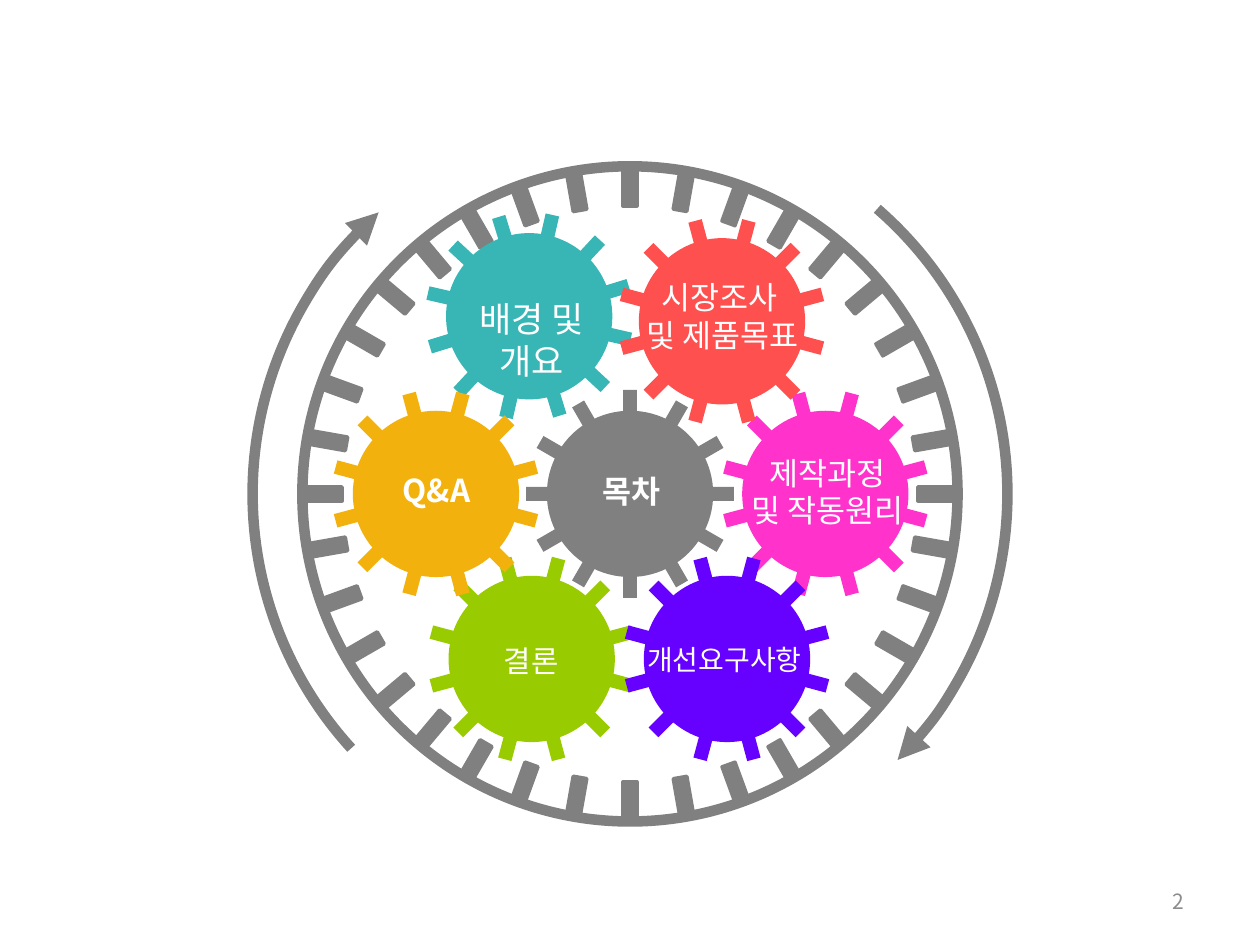
from math import cos, radians, sin

from lxml import etree
from pptx import Presentation
from pptx import util as u
from pptx.dml import color as c
from pptx.enum import shapes, text
from pptx.oxml import ns

theme = {
    "font": "Noto Sans CJK KR",
    "gray": "808080", "teal": "38B6B6", "lime": "99CC00", "gold": "F3B10D",
    "pink": "FF33CC", "red": "FF5050", "blue": "6600FF",
    "white": "FFFFFF", "page": "8C8C8C",
    "big": 20, "main": 18, "mid": 17, "small": 16, "num": 12,
    "ring": 6, "edge": 2,
}
kind = shapes.MSO_SHAPE
align = text.PP_ALIGN


def draw(home, form, mid, size, fill=None, line=None, width=0, turn=0):
    x, y = mid
    w, h = size
    item = home.shapes.add_shape(form, u.Inches(x - w / 2), u.Inches(y - h / 2),
                                 u.Inches(w), u.Inches(h))
    item.shadow.inherit = False
    item.rotation = turn
    for part, tone in ((item.fill, fill), (item.line.fill, line)):
        if tone:
            part.solid()
            part.fore_color.rgb = c.RGBColor.from_string(theme[tone])
        else:
            part.background()
    if line:
        item.line.width = u.Pt(theme[width])
    return item


def label(lines, box, size, tone="white", bold=False, side=align.CENTER,
          anchor=text.MSO_ANCHOR.TOP):
    frame = slide.shapes.add_textbox(*map(u.Inches, box)).text_frame
    frame.word_wrap = True
    frame.vertical_anchor = anchor
    form = {"name": theme["font"], "size": u.Pt(theme[size]), "bold": bold}
    for i, words in enumerate(lines):
        para = frame.paragraphs[0] if i == 0 else frame.add_paragraph()
        para.alignment = side
        run = para.add_run()
        run.text = words
        for key, value in form.items():
            setattr(run.font, key, value)
        run.font.color.rgb = c.RGBColor.from_string(theme[tone])
        etree.SubElement(run._r.get_or_add_rPr(), ns.qn("a:ea"),
                         typeface=theme["font"])


deck = Presentation()
deck.slide_width, deck.slide_height = u.Inches(10), u.Inches(7.5)
slide = deck.slides.add_slide(deck.slide_layouts[6])

hub = (5, 3.92)
reach = 2.44
ring = slide.shapes.add_group_shape()
draw(ring, kind.OVAL, hub, (5.2, 5.2), line="gray", width="ring")
for turn in range(0, 360, 10):
    spot = (hub[0] + reach * sin(radians(turn)), hub[1] - reach * cos(radians(turn)))
    draw(ring, kind.RECTANGLE, spot, (0.11, 0.31), "gray", "gray", "edge", turn % 180)

gears = [
    ("teal", (4.2, 2.51), 12.9),
    ("lime", (4.22, 5.23), 15),
    ("gold", (3.46, 3.92), 15),
    ("pink", (6.55, 3.92), 15),
    ("gray", hub, 0),
    ("red", (5.73, 2.55), 15),
    ("blue", (5.77, 5.23), 15),
]
for tone, mid, tilt in gears:
    gear = slide.shapes.add_group_shape()
    draw(gear, kind.OVAL, mid, (1.32, 1.32), tone, turn=tilt)
    for step in range(0, 180, 30):
        draw(gear, kind.RECTANGLE, mid, (0.11, 1.65), tone, turn=tilt + step)

for start, end in ((310.94, 44.84), (137.62, 228.24)):
    arc = draw(slide, kind.ARC, hub, (5.99, 5.99), line="gray", width="ring")
    for i, angle in enumerate((start, end)):
        arc.adjustments[i] = angle * 0.6
    etree.SubElement(arc.line._get_or_add_ln(), ns.qn("a:tailEnd"), type="triangle")

label(["Q&A"], (2.89, 3.69, 1.15, 0.4), "main", bold=True)
label(["목차"], (4.44, 3.7, 1.15, 0.4), "main", bold=True)
label(["제작과정", "및 작동원리"], (5.73, 3.55, 1.68, 0.71), "main")
label(["배경 및 개요"], (3.63, 2.31, 1.18, 0.77), "big")
label(["시장조사 ", "및 제품목표"], (4.92, 2.16, 1.63, 0.71), "main")
label(["개선요구사항 "], (4.96, 5.05, 1.63, 0.37), "small")
label(["결론"], (3.4, 5.05, 1.63, 0.39), "mid")
label(["2"], (7.17, 6.95, 2.33, 0.4), "num", "page", side=align.RIGHT,
      anchor=text.MSO_ANCHOR.MIDDLE)

deck.save("out.pptx")
